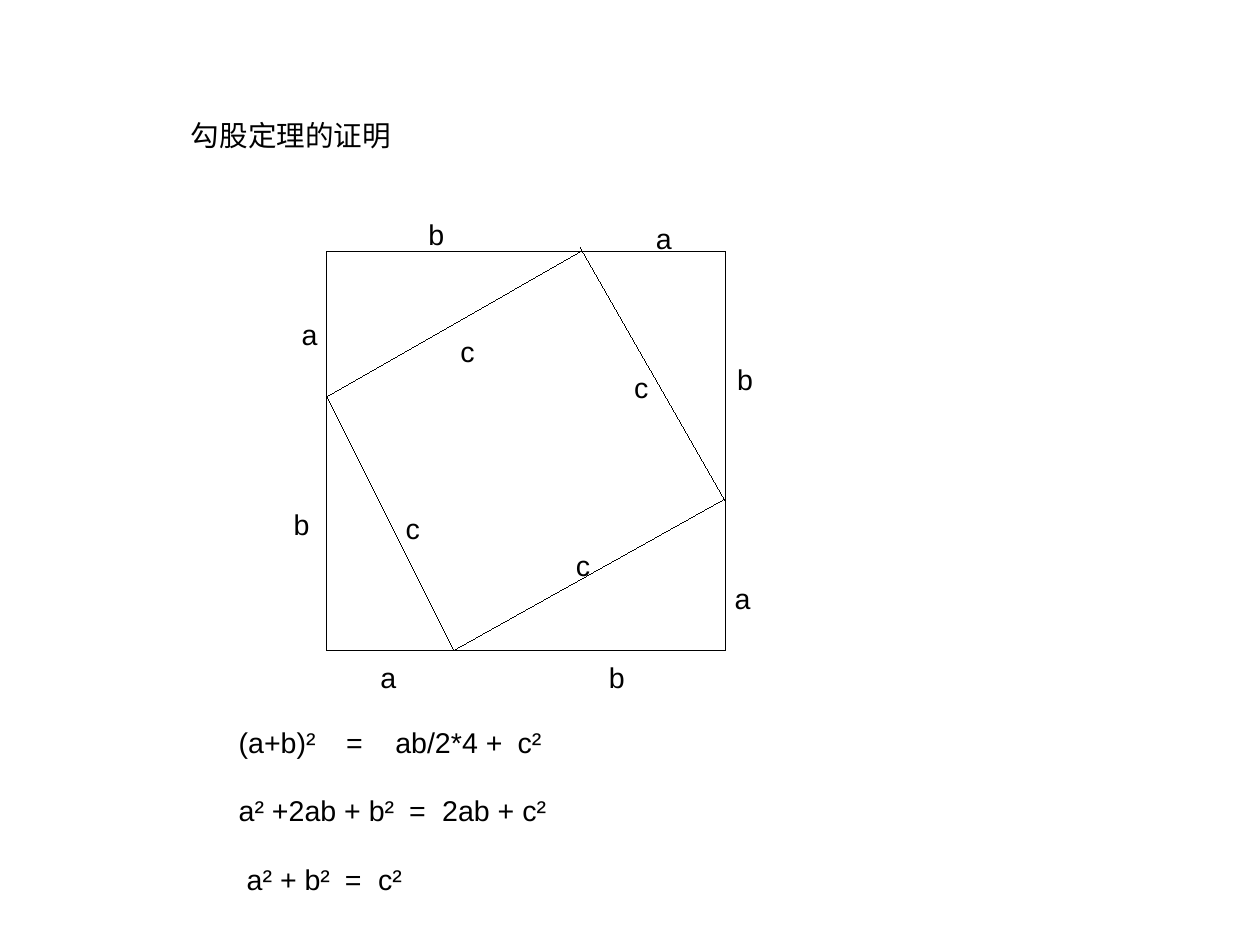
import pptx
import pptx.util
import pptx.dml.color
import pptx.enum.shapes
import pptx.enum.text
import pptx.oxml.ns
from lxml import etree

Inches = pptx.util.Inches
Pt = pptx.util.Pt
qn = pptx.oxml.ns.qn
COLORS = {"ink": "000000", "paper": "FFFFFF"}
HAIRLINE = Pt(0.01)


def rgb(name):
    return pptx.dml.color.RGBColor.from_string(COLORS[name])


def format_text(frame):
    frame.vertical_anchor = pptx.enum.text.MSO_ANCHOR.TOP
    for paragraph in frame.paragraphs:
        paragraph.alignment = pptx.enum.text.PP_ALIGN.LEFT
        for run in paragraph.runs:
            run.font.size = Pt(18)
            run.font.name = "Arial"
            run.font.color.rgb = rgb("ink")


deck = pptx.Presentation()
deck.slide_width = Inches(280 / 25.4)
deck.slide_height = Inches(210 / 25.4)
slide = deck.slides.add_slide(deck.slide_layouts[5])

outer_square = slide.shapes.add_shape(
    pptx.enum.shapes.MSO_SHAPE.RECTANGLE,
    Inches(2.86), Inches(2.2), Inches(3.49), Inches(3.49))
outer_square.shadow.inherit = False
outer_square.fill.solid()
outer_square.fill.fore_color.rgb = rgb("paper")
outer_square.line.color.rgb = rgb("ink")
outer_square.line.width = HAIRLINE

hypotenuses = [
    (5.08, 2.2, 2.86, 3.47),
    (2.86, 3.47, 3.97, 5.69),
    (3.97, 5.69, 6.35, 4.36),
    (5.08, 2.17, 6.35, 4.39),
]
for ends in hypotenuses:
    hypotenuse = slide.shapes.add_connector(
        pptx.enum.shapes.MSO_CONNECTOR.STRAIGHT, *map(Inches, ends))
    hypotenuse.line.color.rgb = rgb("ink")
    hypotenuse.line.width = HAIRLINE
    etree.SubElement(hypotenuse._element.spPr, qn("a:effectLst"))

side_labels = {
    "a": [(2.54, 2.72), (5.64, 1.88), (6.33, 5.03), (3.23, 5.72)],
    "b": [(3.65, 1.85), (6.35, 3.12), (5.23, 5.72), (2.47, 4.39)],
    "c": [(3.93, 2.87), (5.45, 3.19), (4.94, 4.74), (3.45, 4.42)],
}
for side, places in side_labels.items():
    width = 0.32 if side == "c" else 0.34
    for left, top in places:
        label = slide.shapes.add_textbox(
            Inches(left), Inches(top), Inches(width), Inches(0.38))
        label.text_frame.text = side
        label.text_frame.word_wrap = False
        format_text(label.text_frame)

equations = [
    ("(a+b)²\t=\tab/2*4 +\tc²", 0, (0.94, 1.37, 2.44)),
    ("a² +2ab + b²\t=\t2ab + c²", 0, (1.49, 1.78)),
    ("a² + b²\t=\tc²", 0.07, (0.86, 1.15)),
]
proof = slide.shapes.add_textbox(Inches(1.99), Inches(6.29), Inches(2.97), Inches(1.5))
proof.text_frame.word_wrap = True
proof.text_frame.text = "\n".join(equation for equation, indent, stops in equations)
for row, (equation, indent, stops) in enumerate(equations):
    step = proof.text_frame.paragraphs[row]
    properties = step._p.get_or_add_pPr()
    if indent:
        properties.set("marL", str(Inches(indent)))
    tab_list = etree.SubElement(properties, qn("a:tabLst"))
    for stop in stops:
        etree.SubElement(tab_list, qn("a:tab"), pos=str(Inches(stop)), algn="l")
    if row:
        step.space_before = Pt(21.7)
format_text(proof.text_frame)

heading = slide.shapes.title
heading.left, heading.top = Inches(1.57), Inches(0.98)
heading.width, heading.height = Inches(2), Inches(0.46)
heading.text_frame.text = "勾股定理的证明"
heading.text_frame.word_wrap = False
heading.text_frame.auto_size = pptx.enum.text.MSO_AUTO_SIZE.NONE
format_text(heading.text_frame)

deck.save("out.pptx")
